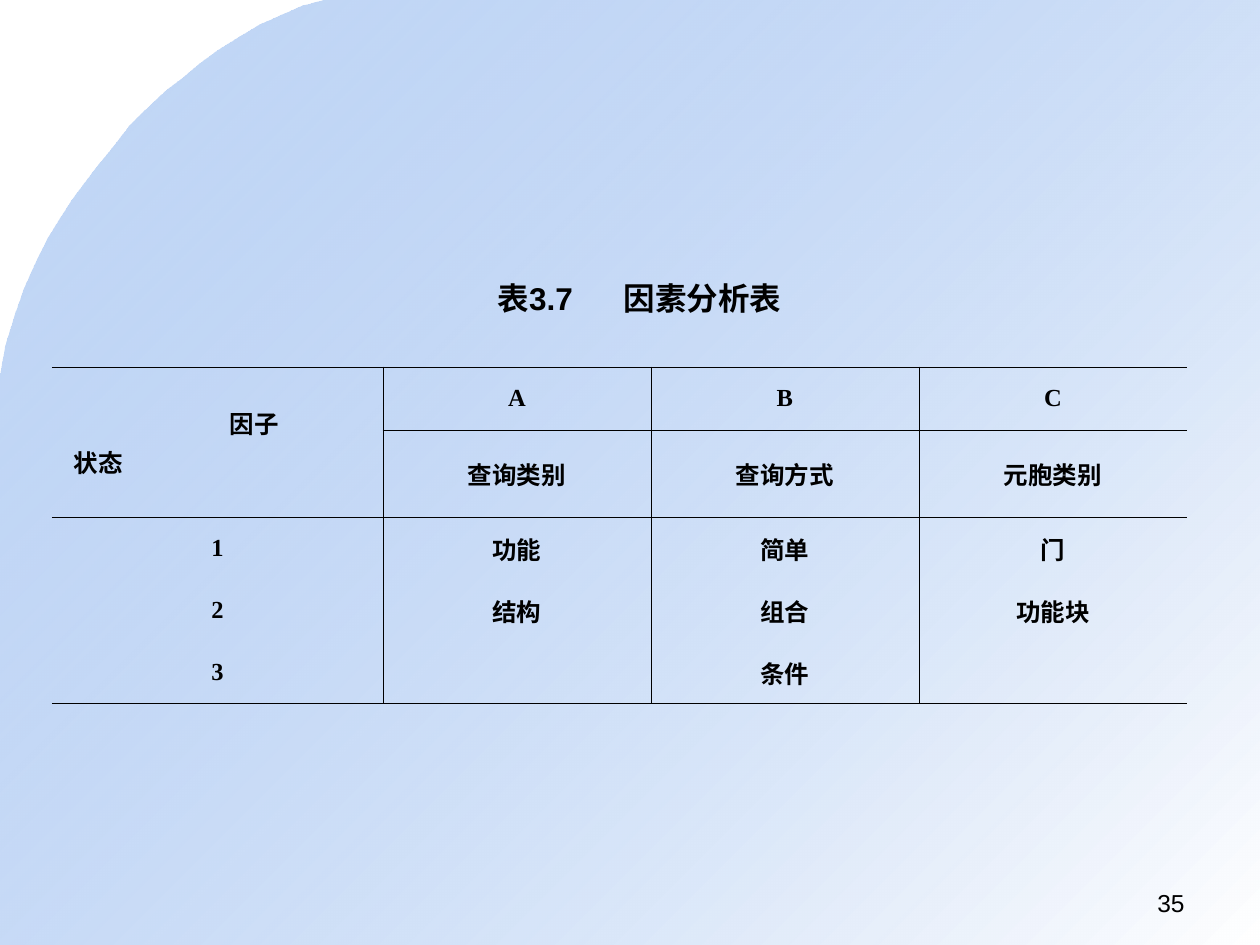
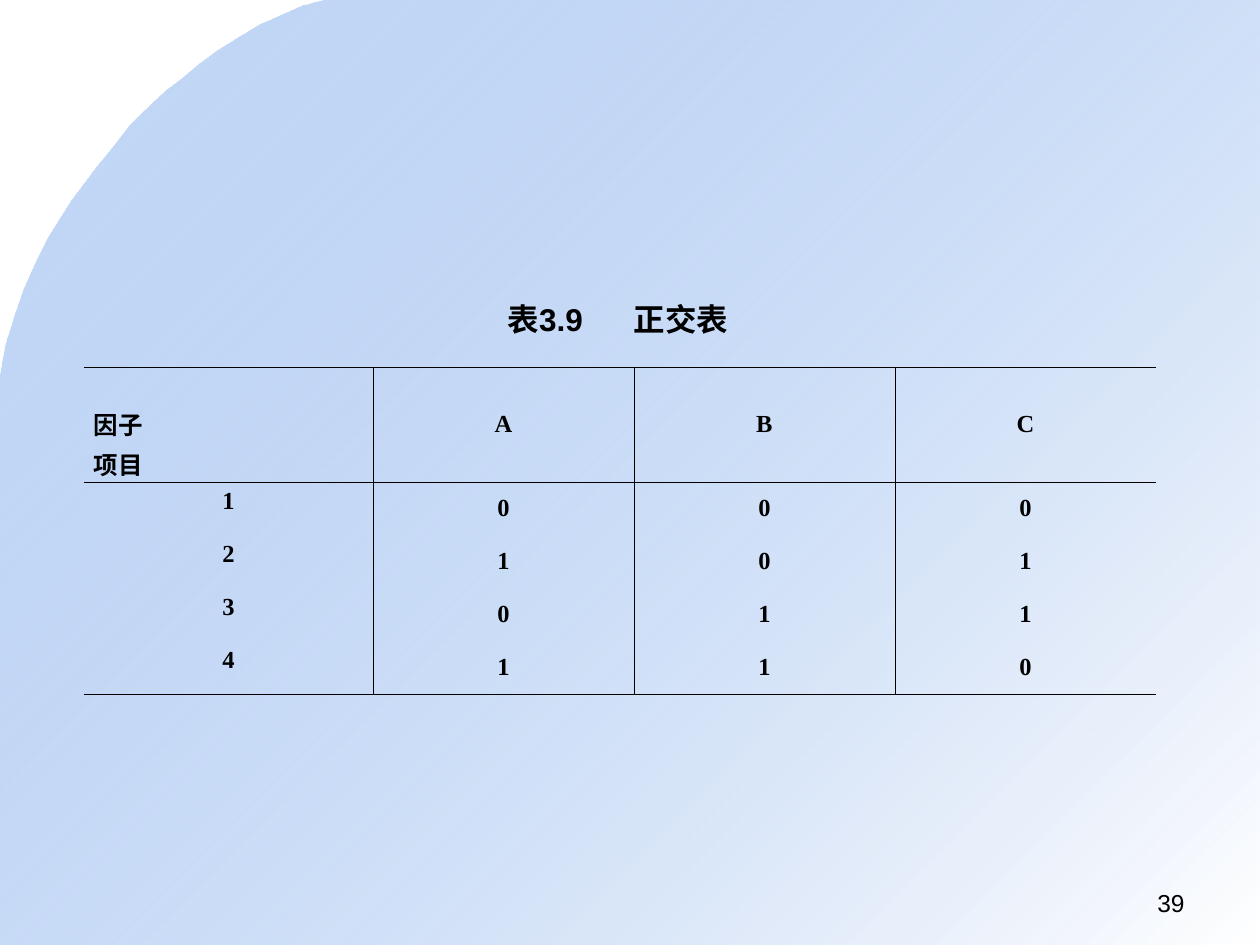
"""Build two slides with a factor analysis table and an orthogonal table."""
from lxml import etree
from pptx import Presentation
from pptx import util as u
from pptx.dml import color
from pptx.enum import text
from pptx.oxml import ns

SCALE = 914400 / 126
PAGE = (1260, 945)
COLORS = {"ink": "000000", "sky": "699DE9", "paper": "FFFFFF"}
SKY_OPACITY = 39
RULE_POINTS = 0.45
TITLE_ONLY = 5
PLAIN_TABLE = "{2D5ABB26-0587-4C30-8999-92F81FD0307C}"
CURVES = [
    [(325, 0), (239, 20), (146, 105), (123, 135)],
    [(123, 135), (101, 166), (20, 244), (0, 379)],
]


def px(length):
    """Turn px into EMU."""
    return u.Emu(round(length * SCALE))


def rgb(name):
    """Look up a named colour."""
    return color.RGBColor.from_string(COLORS[name])


def style(para, font, size, bold=False, align=text.PP_ALIGN.LEFT):
    """Set the font and alignment of a paragraph."""
    para.alignment = align
    para.font.name, para.font.size, para.font.bold = font, u.Pt(size), bold
    para.font.color.rgb = rgb("ink")


def curve_points(ends, steps=12):
    """Sample a cubic curve after its start."""
    for step in range(1, steps + 1):
        t = step / steps
        weights = ((1 - t) ** 3, 3 * t * (1 - t) ** 2, 3 * t * t * (1 - t), t ** 3)
        yield tuple(sum(w * end[axis] for w, end in zip(weights, ends)) for axis in (0, 1))


def add_backdrop(page):
    """Draw the curved gradient and move it to the layout that the slides share."""
    width, height = PAGE
    outline = [point for curve in CURVES for point in curve_points(curve)]
    outline += [(0, height), (width, height), (width, 0)]
    builder = page.shapes.build_freeform(*CURVES[0][0], scale=SCALE)
    builder.add_line_segments(outline)
    backdrop = builder.convert_to_shape()
    backdrop.shadow.inherit = False
    backdrop.line.fill.background()
    backdrop.fill.gradient()
    backdrop.fill.gradient_angle = 315
    for stop, name, position in zip(backdrop.fill.gradient_stops, ("sky", "paper"), (0, 1)):
        stop.color.rgb, stop.position = rgb(name), position
    sky = next(backdrop.element.spPr.iter(ns.qn("a:srgbClr")))
    etree.SubElement(sky, ns.qn("a:alpha"), val=str(SKY_OPACITY * 1000))
    page.slide_layout.shapes.element.insert(2, backdrop.element)


def add_caption(page, words, left, top, width):
    """Place the table caption in the title placeholder."""
    box = page.shapes.title
    box.left, box.top, box.width, box.height = map(px, (left, top, width, 50))
    frame = box.text_frame
    frame.text = words
    frame.word_wrap = False
    frame.auto_size = text.MSO_AUTO_SIZE.NONE
    frame.vertical_anchor = text.MSO_ANCHOR.TOP
    para = frame.paragraphs[0]
    style(para, "Arial", 18, bold=True)
    tabs = etree.SubElement(para._p.get_or_add_pPr(), ns.qn("a:tabLst"))
    etree.SubElement(tabs, ns.qn("a:tab"), pos=str(px(126)), algn="l")
    default_run = para._p.pPr.find(ns.qn("a:defRPr"))
    if default_run is not None:
        default_run.addprevious(tabs)


def add_page_number(page, number):
    """Write the page number at the lower right."""
    box = page.shapes.add_textbox(*map(px, (903, 882, 294, 44)))
    box.text_frame.word_wrap = True
    para = box.text_frame.paragraphs[0]
    para.text = str(number)
    style(para, "Arial", 14, align=text.PP_ALIGN.RIGHT)


def set_borders(cell, sides):
    """Draw the listed sides of a cell and clear the others."""
    props = cell._tc.get_or_add_tcPr()
    for side in "LRTB":
        line = etree.SubElement(props, ns.qn(f"a:ln{side}"), w=str(u.Pt(RULE_POINTS)))
        if side in sides:
            fill = etree.SubElement(line, ns.qn("a:solidFill"))
            etree.SubElement(fill, ns.qn("a:srgbClr"), val=COLORS["ink"])
        else:
            etree.SubElement(line, ns.qn("a:noFill"))


def write_cell(cell, lines, spacing, align=text.PP_ALIGN.CENTER, indents=(0, 0)):
    """Write the lines of a cell, one paragraph each."""
    cell.text = "\n".join(lines)
    for para, indent in zip(cell.text_frame.paragraphs, indents):
        style(para, "Times New Roman", 14, bold=True, align=align)
        para.space_before = para.space_after = u.Pt(spacing)
        if indent:
            para._p.get_or_add_pPr().set("marL", str(px(indent)))


def add_grid(page, left, widths, heights, rows, rules, body_spacing=1.2):
    """Add a table; rules maps each ruled row boundary to its first column."""
    frame = page.shapes.add_table(len(heights), len(widths), px(left), px(367),
                                  px(sum(widths)), px(sum(heights)))
    table = frame.table
    table.first_row = table.horz_banding = False
    table._tbl.tblPr.find(ns.qn("a:tableStyleId")).text = PLAIN_TABLE
    for column, width in zip(table.columns, widths):
        column.width = px(width)
    for row, height in zip(table.rows, heights):
        row.height = px(height)
    last = len(widths) - 1
    for r, words in enumerate(rows):
        for c, word in enumerate(words):
            cell = table.cell(r, c)
            sides = {"L": c > 0, "R": c < last,
                     "T": c >= rules.get(r, last + 1),
                     "B": c >= rules.get(r + 1, last + 1)}
            set_borders(cell, [side for side, shown in sides.items() if shown])
            cell.fill.background()
            cell.vertical_anchor = text.MSO_ANCHOR.MIDDLE
            cell.margin_left = cell.margin_right = px(10)
            cell.margin_top = cell.margin_bottom = px(6)
            if word:
                write_cell(cell, [word], body_spacing if r else 1.2)
    return table


def main():
    """Build and save the deck."""
    deck = Presentation()
    deck.slide_width, deck.slide_height = map(px, PAGE)
    layout = deck.slide_layouts[TITLE_ONLY]

    factors = deck.slides.add_slide(layout)
    add_backdrop(factors)
    add_caption(factors, "表3.7\t因素分析表", 485, 273, 309)
    table = add_grid(factors, 52, [331] + [268] * 3, [63, 76, 62, 62, 62], [
        ["", "A", "B", "C"],
        ["", "查询类别", "查询方式", "元胞类别"],
        ["1", "功能", "简单", "门"],
        ["2", "结构", "组合", "功能块"],
        ["3", "", "条件", ""],
    ], {0: 0, 1: 1, 2: 0, 5: 0})
    corner = table.cell(0, 0)
    corner.merge(table.cell(1, 0))
    write_cell(corner, ["因子", "状态"], 1.2, text.PP_ALIGN.LEFT, (168, 12))
    add_page_number(factors, 35)

    orthogonal = deck.slides.add_slide(layout)
    add_caption(orthogonal, "表3.9\t正交表", 495, 294, 246)
    table = add_grid(orthogonal, 84, [289] + [261] * 3, [115] + [53] * 4, [
        ["", "A", "B", "C"],
        ["1", "0", "0", "0"],
        ["2", "1", "0", "1"],
        ["3", "0", "1", "1"],
        ["4", "1", "1", "0"],
    ], {0: 0, 1: 0, 5: 0}, body_spacing=1.5)
    for r in range(1, 5):
        table.cell(r, 0).vertical_anchor = text.MSO_ANCHOR.TOP
    corner = table.cell(0, 0)
    corner.vertical_anchor = text.MSO_ANCHOR.BOTTOM
    corner.margin_bottom = 0
    write_cell(corner, ["因子", "项目"], 1.2, text.PP_ALIGN.LEFT)
    add_page_number(orthogonal, 39)

    deck.save("out.pptx")


if __name__ == "__main__":
    main()
